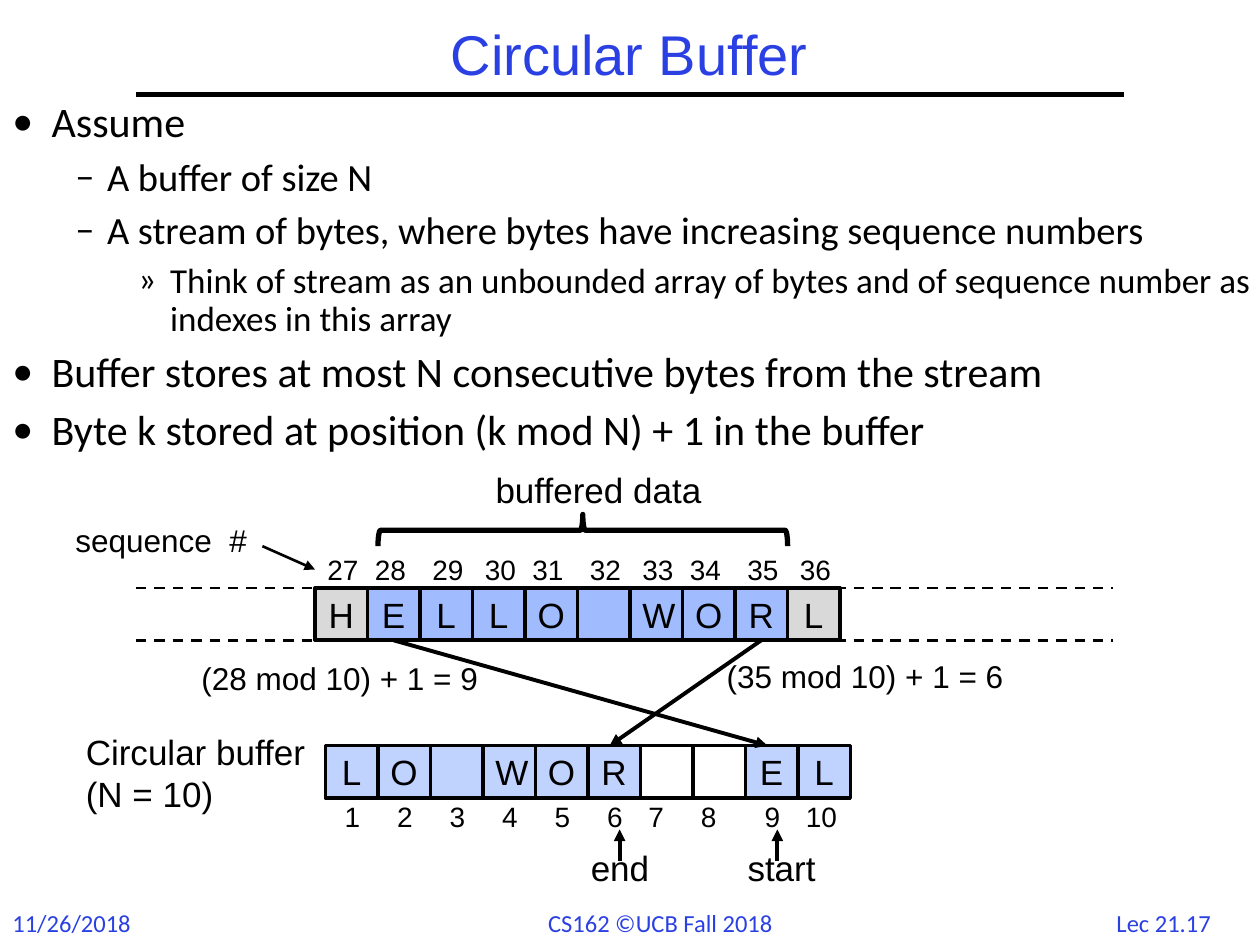
"""Build the Circular Buffer lecture slide."""
from lxml.etree import SubElement
from pptx import Presentation
from pptx.dml.color import RGBColor
from pptx.enum.dml import MSO_LINE
from pptx.enum.shapes import MSO_CONNECTOR, MSO_SHAPE
from pptx.enum.text import MSO_ANCHOR, PP_ALIGN
from pptx.oxml.ns import qn
from pptx.util import Cm, Pt

COLORS = {"ink": "000000", "blue": "2A40E2", "gray": "D9D9D9",
          "stream": "A0BCFE", "buffer": "C0D2FE", "white": "FFFFFF"}
CELL = 25.4 / 24

BULLETS = [
    (0, "Assume"),
    (1, "A buffer of size N"),
    (1, "A stream of bytes, where bytes have increasing sequence numbers"),
    (2, "Think of stream as an unbounded array of bytes and of sequence number "
        "as indexes in this array"),
    (0, "Buffer stores at most N consecutive bytes from the stream"),
    (0, "Byte k stored at position (k mod N) + 1 in the buffer"),
]
LEVELS = [("•", 24, 0.79, 0.79), ("–", 22, 1.91, 0.64), ("»", 20, 3.18, 0.64)]

STREAM = {"left": 6.35, "top": 11.85, "letters": "HELLO WORL",
          "fills": ["gray"] + ["stream"] * 8 + ["gray"],
          "first": 27, "label_top": 11.01, "label_width": 1.14,
          "nudges": [0, -0.1, 0, 0, -0.1, 0, 0, -0.1, 0, 0]}
BUFFER = {"left": 6.56, "top": 15.03, "letters": "LO WOR  EL",
          "fills": ["buffer"] * 6 + ["white"] * 2 + ["buffer"] * 2,
          "first": 1, "label_top": 16.0, "label_width": 0.84,
          "nudges": [0.14] * 6 + [-0.09] * 2 + [0.14, -0.09]}

FOOTERS = [("Lec 21.17", 22.15, 2.62, PP_ALIGN.CENTER),
           ("11/26/2018", 0, 3.3, PP_ALIGN.LEFT),
           ("CS162 ©UCB Fall 2018", 10.8, 5.28, PP_ALIGN.LEFT)]
NOTES = [
    (["sequence  #"], 1.27, 10.37, 4.01, 1.02, 18),
    (["Circular buffer", "(N = 10)"], 1.48, 14.61, 4.98, 1.96, 20),
    (["buffered data"], 9.74, 9.32, 4.7, 1.12, 20),
    (["(28 mod 10) + 1 = 9"], 3.81, 13.16, 6.15, 1.02, 18),
    (["(35 mod 10) + 1 = 6"], 14.4, 13.13, 6.15, 1.02, 18),
    (["start"], 14.82, 16.94, 1.91, 1.12, 20),
    (["end"], 11.66, 16.94, 1.7, 1.12, 20),
]


def rgb(name):
    return RGBColor.from_string(COLORS[name])


def add_run(p, text, size, font="Arial", color="ink"):
    r = p.add_run()
    r.text = text
    r.font.size, r.font.name = Pt(size), font
    r.font.color.rgb = rgb(color)


def add_text(s, lines, x, y, w, h, size, font="Arial", color="ink",
             align=PP_ALIGN.LEFT):
    sp = s.shapes.add_textbox(Cm(x), Cm(y), Cm(w), Cm(h))
    tf = sp.text_frame
    tf.word_wrap = False
    for i, line in enumerate(lines):
        p = tf.paragraphs[0] if i == 0 else tf.add_paragraph()
        p.alignment = align
        add_run(p, line, size, font, color)
    return tf


def add_line(s, x1, y1, x2, y2, width, arrow=False, dash=False, start=None):
    cx = s.shapes.add_connector(MSO_CONNECTOR.STRAIGHT,
                                Cm(x1), Cm(y1), Cm(x2), Cm(y2))
    cx.line.color.rgb = rgb("ink")
    cx.line.width = Pt(width)
    if dash:
        cx.line.dash_style = MSO_LINE.DASH
    if arrow:
        SubElement(cx.line._get_or_add_ln(), qn("a:tailEnd"), type="triangle")
    SubElement(cx._element.spPr, qn("a:effectLst"))
    if start is not None:
        cx.begin_connect(start, 2)


def add_shape(s, kind, x, y, w, h, fill, width):
    sp = s.shapes.add_shape(kind, Cm(x), Cm(y), Cm(w), Cm(h))
    sp.shadow.inherit = False
    sp.fill.solid()
    sp.fill.fore_color.rgb = rgb(fill)
    sp.line.color.rgb = rgb("ink")
    sp.line.width = Pt(width)
    return sp


def add_row(s, row):
    cells = []
    for i, (letter, fill) in enumerate(zip(row["letters"], row["fills"])):
        x = row["left"] + i * CELL
        sp = add_shape(s, MSO_SHAPE.RECTANGLE, x, row["top"], CELL, CELL, fill, 2)
        tf = sp.text_frame
        tf.vertical_anchor = MSO_ANCHOR.MIDDLE
        if letter != " ":
            p = tf.paragraphs[0]
            p.alignment = PP_ALIGN.CENTER
            add_run(p, letter, 20)
        number = str(row["first"] + i)
        width = 1.14 if len(number) == 2 else row["label_width"]
        add_text(s, [number], x + row["nudges"][i], row["label_top"],
                 width, 0.94, 16)
        cells.append(sp)
    return cells


def add_bullets(s):
    tf = add_text(s, [], 0, 1.91, 25.83, 8.05, 24)
    tf.word_wrap = True
    for i, (level, text) in enumerate(BULLETS):
        mark, size, margin, hang = LEVELS[level]
        p = tf.paragraphs[0] if i == 0 else tf.add_paragraph()
        p.level = level
        p.line_spacing = 0.9
        if i:
            p.space_before = Pt(round(0.3 * size, 1))
        pPr = p._p.get_or_add_pPr()
        pPr.set("marL", str(Cm(margin)))
        pPr.set("indent", str(-Cm(hang)))
        SubElement(pPr, qn("a:buFont"), typeface="Calibri")
        SubElement(pPr, qn("a:buChar"), char=mark)
        add_run(p, text, size, "Calibri")


def main():
    prs = Presentation()
    prs.slide_width, prs.slide_height = Cm(25.4), Cm(19.05)
    s = prs.slides.add_slide(prs.slide_layouts[6])

    for text, x, w, align in FOOTERS:
        add_text(s, [text], x, 18.19, w, 0.86, 14, "Calibri", "blue", align)
    add_line(s, 2.74, 1.91, 22.66, 1.91, 3)
    title = add_text(s, ["Circular Buffer"], 2.74, 0.43, 19.89, 1.47, 32,
                     color="blue", align=PP_ALIGN.CENTER)
    title.vertical_anchor = MSO_ANCHOR.MIDDLE
    title.word_wrap = True
    title.paragraphs[0].line_spacing = 0.9
    add_bullets(s)

    for y in (STREAM["top"], STREAM["top"] + CELL):
        add_line(s, 2.74, y, 22.43, y, 1.5, dash=True)
    stream = add_row(s, STREAM)
    add_row(s, BUFFER)

    brace = add_shape(s, MSO_SHAPE.RIGHT_BRACE, 11.43, 6.56, 0.64, 8.26, "white", 3)
    brace.rotation = 270
    brace.adjustments[0], brace.adjustments[1] = 0.08, 0.5

    add_line(s, 5.29, 11.01, 6.35, 11.48, 1.5, arrow=True)
    for index, end_x in ((1, 15.47), (8, 12.29)):
        x = STREAM["left"] + (index + 0.5) * CELL
        add_line(s, x, STREAM["top"] + CELL, end_x, BUFFER["top"], 2.25,
                 arrow=True, start=stream[index])
    for x in (15.67, 12.49):
        add_line(s, x, 17.36, x, 16.72, 2.25, arrow=True)
    for note in NOTES:
        add_text(s, *note)

    prs.save("out.pptx")


if __name__ == "__main__":
    main()
